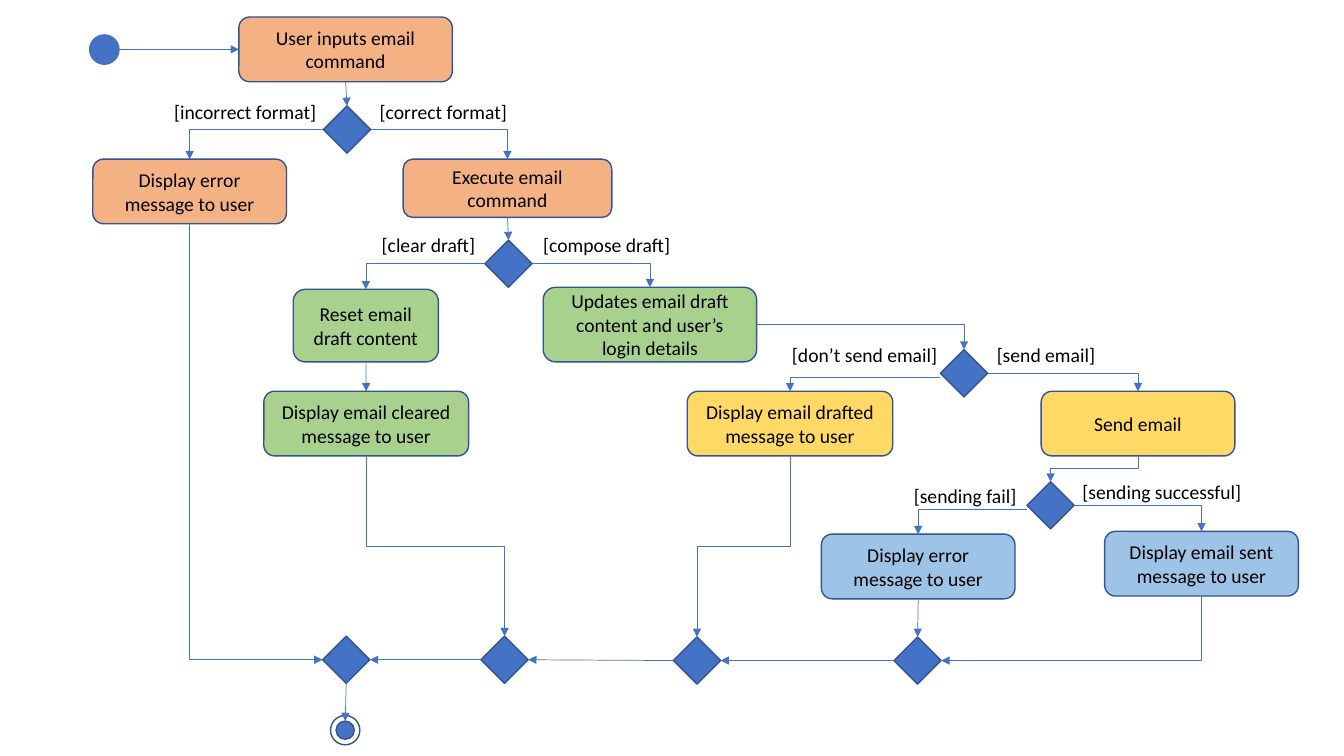
from dataclasses import dataclass
from enum import IntEnum

from lxml.etree import SubElement
from pptx import Presentation
from pptx.dml.color import RGBColor
from pptx.enum.shapes import MSO_CONNECTOR, MSO_SHAPE
from pptx.enum.text import MSO_ANCHOR, PP_ALIGN
from pptx.oxml.ns import qn
from pptx.util import Cm, Pt


@dataclass(frozen=True)
class Theme:
    blue: str = "4472C4"
    outline: str = "325491"
    orange: str = "F4B183"
    green: str = "A9D18E"
    yellow: str = "FFD966"
    sky: str = "9DC3E6"
    text: str = "000000"
    font: str = "Calibri"
    size: float = 14
    outline_width: float = 1
    flow_width: float = 0.5


THEME = Theme()
STEP_WIDTH, STEP_HEIGHT = 4.88, 1.63
DIAMOND_SIZE, LABEL_HEIGHT, CIRCLE_SIZE = 1.19, 0.86, 0.74
DOT_SIZE = 0.46


class Side(IntEnum):
    """Connection sites of rectangles and diamonds."""
    TOP = 0
    LEFT = 1
    BOTTOM = 2
    RIGHT = 3


def write(box, text, align):
    frame = box.text_frame
    frame.word_wrap = True
    para = frame.paragraphs[0]
    para.alignment = align
    span = para.add_run()
    span.text = text
    span.font.name = THEME.font
    span.font.size = Pt(THEME.size)
    span.font.color.rgb = RGBColor.from_string(THEME.text)


@dataclass
class Region:
    """An area of the page; its parts are placed in cm from its top left corner."""
    shapes: object
    left: float
    top: float

    def shape(self, kind, x, y, width, height, fill=None, line=THEME.outline):
        box = self.shapes.add_shape(kind, Cm(self.left + x), Cm(self.top + y),
                                    Cm(width), Cm(height))
        box.shadow.inherit = False
        if fill:
            box.fill.solid()
            box.fill.fore_color.rgb = RGBColor.from_string(fill)
        else:
            box.fill.background()
        box.line.color.rgb = RGBColor.from_string(line)
        box.line.width = Pt(THEME.outline_width)
        return box

    def step(self, text, x, y, fill, width=STEP_WIDTH, height=STEP_HEIGHT):
        box = self.shape(MSO_SHAPE.ROUNDED_RECTANGLE, x, y, width, height, fill)
        box.text_frame.vertical_anchor = MSO_ANCHOR.MIDDLE
        write(box, text, PP_ALIGN.CENTER)
        return box

    def diamond(self, x, y):
        return self.shape(MSO_SHAPE.DIAMOND, x, y, DIAMOND_SIZE, DIAMOND_SIZE, THEME.blue)

    def label(self, text, x, y, width):
        box = self.shapes.add_textbox(Cm(self.left + x), Cm(self.top + y),
                                      Cm(width), Cm(LABEL_HEIGHT))
        write(box, text, PP_ALIGN.LEFT)


def site(box, side):
    x = {Side.LEFT: box.left, Side.RIGHT: box.left + box.width}
    y = {Side.TOP: box.top, Side.BOTTOM: box.top + box.height}
    return (x.get(side, box.left + box.width // 2),
            y.get(side, box.top + box.height // 2))


def bend(link, preset, begin, end, sideways):
    """Turn a link into an elbow that leaves its start sideways or downwards."""
    (x1, y1), (x2, y2) = begin, end
    width, height = abs(x2 - x1), abs(y2 - y1)
    if not sideways:
        width, height = height, width
    link.left, link.top = (x1 + x2 - width) // 2, (y1 + y2 - height) // 2
    link.width, link.height = width, height
    turn, flip = {
        (True, True): (0, None),
        (True, False): (180, "flipV"),
        (False, True): (270, "flipH"),
        (False, False): (90, None),
    }[sideways, x2 > x1]
    properties = link._element.spPr
    properties.find(qn("a:prstGeom")).set("prst", preset)
    frame = properties.find(qn("a:xfrm"))
    for name in ("flipH", "flipV"):
        frame.attrib.pop(name, None)
    frame.set("rot", str(turn * 60000))
    if flip:
        frame.set(flip, "1")


def flow(page, start, leave, target, enter, drop=0, glued=True):
    """Draw an arrow between two sides, straight or with one or two bends."""
    begin, end = site(start, leave), site(target, enter)
    begin = (begin[0], begin[1] + Cm(drop))
    link = page.shapes.add_connector(MSO_CONNECTOR.STRAIGHT, *begin, *end)
    if glued:
        link.begin_connect(start, leave)
    link.end_connect(target, enter)
    sideways = leave in (Side.LEFT, Side.RIGHT)
    if sideways != (enter in (Side.LEFT, Side.RIGHT)):
        bend(link, "bentConnector2", begin, end, sideways)
    elif not sideways and abs(begin[0] - end[0]) > Cm(0.3):
        bend(link, "bentConnector3", begin, end, sideways)
    link.line.color.rgb = RGBColor.from_string(THEME.blue)
    link.line.width = Pt(THEME.flow_width)
    SubElement(link.line._get_or_add_ln(), qn("a:tailEnd"), type="triangle")
    SubElement(link._element.spPr, qn("a:effectLst"))


def branch(page, decision, left, right, drop=0):
    flow(page, decision, Side.LEFT, left, Side.TOP, drop, glued=not drop)
    flow(page, decision, Side.RIGHT, right, Side.TOP)


def add_command_region(page, left, top):
    region = Region(page.shapes, left, top)
    start = region.shape(MSO_SHAPE.OVAL, 0, 0.45, CIRCLE_SIZE, CIRCLE_SIZE,
                         THEME.blue, THEME.blue)
    command = region.step("User inputs email command", 3.76, 0, THEME.orange, 5.38)
    decision = region.diamond(5.89, 2.24)
    region.label("[incorrect format]", 1.88, 1.96, 4.47)
    region.label("[correct format]", 7.06, 1.96, 4.95)
    error = region.step("Display error message to user", 0.08, 3.58, THEME.orange)
    execute = region.step("Execute email command", 7.9, 3.58, THEME.orange, 5.26, 1.47)
    flow(page, start, Side.RIGHT, command, Side.LEFT, glued=False)
    flow(page, command, Side.BOTTOM, decision, Side.TOP)
    branch(page, decision, error, execute)
    return error, execute


def add_draft_region(page, left, top):
    region = Region(page.shapes, left, top)
    decision = region.diamond(5.57, 0.31)
    region.label("[clear draft]", 2.72, 0, 3.94)
    region.label("[compose draft]", 6.79, 0, 4.83)
    reset = region.step("Reset email draft content", 0.74, 1.55, THEME.green, 3.66, 1.83)
    cleared = region.step("Display email cleared message to user", 0, 4.12, THEME.green, 5.16)
    update = region.step("Updates email draft content and user’s login details",
                         7.04, 1.5, THEME.green, 5.38, 1.88)
    branch(page, decision, reset, update)
    flow(page, reset, Side.BOTTOM, cleared, Side.TOP)
    return decision, cleared, update


def add_send_region(page, left, top):
    region = Region(page.shapes, left, top)
    decision = region.diamond(6.38, 0.3)
    region.label("[don’t send email]", 2.39, 0, 5.23)
    region.label("[send email]", 7.55, 0, 3.94)
    drafted = region.step("Display email drafted message to user", 0, 1.35, THEME.yellow, 5.18)
    send = region.step("Send email", 8.92, 1.35, THEME.yellow)
    branch(page, decision, drafted, send, drop=0.1)
    return decision, drafted, send


def add_result_region(page, left, top):
    region = Region(page.shapes, left, top)
    decision = region.diamond(5.18, 0.18)
    region.label("[sending fail]", 2.08, 0.11, 5.23)
    region.label("[sending successful]", 6.33, 0, 5.23)
    error = region.step("Display error message to user", 0, 1.5, THEME.sky)
    sent = region.step("Display email sent message to user", 7.14, 1.43, THEME.sky)
    branch(page, decision, error, sent, drop=0.1)
    return decision, error, sent


def add_merge_region(page, left, top):
    region = Region(page.shapes, left, top)
    merges = [region.diamond(x, y) for x, y in ((0, 0), (3.99, 0), (8.84, 0.02), (14.4, 0.02))]
    final = Region(page.shapes.add_group_shape().shapes, left + 0.2, top + 2)
    final.shape(MSO_SHAPE.OVAL, 0, 0, CIRCLE_SIZE, CIRCLE_SIZE)
    inset = (CIRCLE_SIZE - DOT_SIZE) / 2
    dot = final.shape(MSO_SHAPE.OVAL, inset, inset, DOT_SIZE, DOT_SIZE, THEME.blue)
    for target, start in zip(merges, merges[1:]):
        flow(page, start, Side.LEFT, target, Side.RIGHT)
    flow(page, merges[0], Side.BOTTOM, dot, Side.TOP)
    return merges


def main():
    deck = Presentation()
    deck.slide_width, deck.slide_height = Cm(33.87), Cm(19.05)
    page = deck.slides.add_slide(deck.slide_layouts[6])
    format_error, execute = add_command_region(page, 2.26, 0.43)
    draft_choice, cleared, update = add_draft_region(page, 6.65, 5.74)
    send_choice, drafted, send = add_send_region(page, 17.32, 8.51)
    result, send_error, sent = add_result_region(page, 20.7, 11.96)
    merges = add_merge_region(page, 8.13, 16.03)
    flow(page, execute, Side.BOTTOM, draft_choice, Side.TOP)
    flow(page, update, Side.RIGHT, send_choice, Side.TOP)
    flow(page, send, Side.BOTTOM, result, Side.TOP)
    flow(page, format_error, Side.BOTTOM, merges[0], Side.LEFT)
    for step, merge in zip((cleared, drafted, send_error), merges[1:]):
        flow(page, step, Side.BOTTOM, merge, Side.TOP)
    flow(page, sent, Side.BOTTOM, merges[-1], Side.RIGHT)
    deck.save("out.pptx")


if __name__ == "__main__":
    main()
